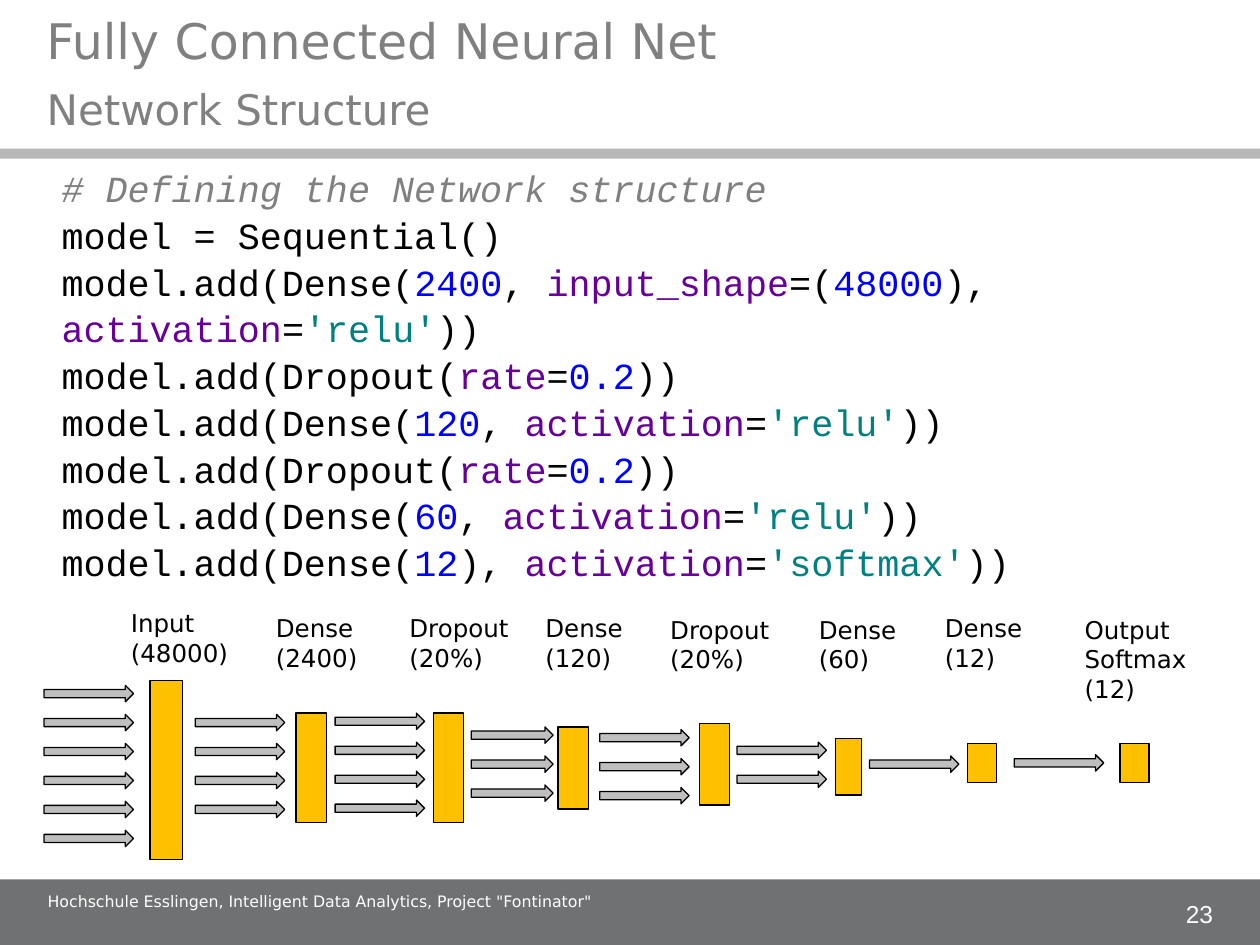
from lxml import etree
from pptx import Presentation
from pptx.dml.color import RGBColor
from pptx.enum.shapes import MSO_SHAPE
from pptx.enum.text import MSO_ANCHOR, MSO_AUTO_SIZE, PP_ALIGN
from pptx.oxml.ns import qn
from pptx.util import Inches, Pt

RECT, ARROW = MSO_SHAPE.RECTANGLE, MSO_SHAPE.RIGHT_ARROW
TOP, MIDDLE, BOTTOM = MSO_ANCHOR.TOP, MSO_ANCHOR.MIDDLE, MSO_ANCHOR.BOTTOM
LEFT, CENTER = PP_ALIGN.LEFT, PP_ALIGN.CENTER
NO_AUTOFIT = MSO_AUTO_SIZE.NONE

COLORS = {
    "band": "707172", "white": "FFFFFF", "heading": "808080", "black": "000000",
    "layer": "FFC000", "arrow": "BFBFBF",
    "comment": "808080", "plain": "000000", "number": "0000FF",
    "keyword": "660099", "string": "008080",
}
HEADING = {"name": "DejaVu Sans", "size": Pt(28)}
SUBHEADING = {"name": "DejaVu Sans", "size": Pt(24)}
FOOTER = {"name": "DejaVu Sans", "size": Pt(9)}
PAGE = {"name": "Arial", "size": Pt(14)}
LABEL = {"name": "DejaVu Sans", "size": Pt(14)}
CODE = {"name": "Courier New", "size": Pt(21)}

prs = Presentation()
prs.slide_width, prs.slide_height = Inches(10), Inches(7.5)
slide = prs.slides.add_slide(prs.slide_layouts[5])


def add_block(kind, box, color, outlined=False):
    block = slide.shapes.add_shape(kind, *map(Inches, box))
    block.shadow.inherit = False
    block.fill.solid()
    block.fill.fore_color.rgb = RGBColor.from_string(COLORS[color])
    if outlined:
        block.line.color.rgb = RGBColor.from_string(COLORS["black"])
        block.line.width = Pt(0.75)
    else:
        block.line.fill.background()
    return block


def write(holder, lines, style, color, anchor=TOP, align=LEFT, wrap=True):
    frame = holder.text_frame
    frame.auto_size, frame.word_wrap = NO_AUTOFIT, wrap
    frame.vertical_anchor = anchor
    for number, line in enumerate(lines):
        paragraph = frame.add_paragraph() if number else frame.paragraphs[0]
        paragraph.alignment = align
        run = paragraph.add_run()
        run.text = line
        for attribute, value in style.items():
            setattr(run.font, attribute, value)
        run.font.color.rgb = RGBColor.from_string(COLORS[color])


add_block(RECT, (0, 6.98, 10, 0.52), "band")
divider = add_block(RECT, (0, 1.18, 10, 0.08), "band")
divider_color = divider.fill._xPr.find(qn("a:solidFill"))[0]
etree.SubElement(divider_color, qn("a:alpha"), val="50000")

subtitle = slide.shapes.title
subtitle.left, subtitle.top = Inches(0.27), Inches(0.59)
subtitle.width, subtitle.height = Inches(7.09), Inches(0.52)
write(subtitle, ["Network Structure"], SUBHEADING, "heading", BOTTOM)

heading = slide.shapes.add_textbox(Inches(0.27), Inches(0.09), Inches(7.09), Inches(0.51))
write(heading, ["Fully Connected Neural Net"], HEADING, "heading", BOTTOM)
footer = slide.shapes.add_textbox(Inches(0.28), Inches(7.03), Inches(8.9), Inches(0.38))
write(footer, ['Hochschule Esslingen, Intelligent Data Analytics, Project "Fontinator"'],
      FOOTER, "white")
page = slide.shapes.add_textbox(Inches(9.33), Inches(7.06), Inches(0.38), Inches(0.36))
write(page, ["23"], PAGE, "white", BOTTOM, CENTER, False)

relu = [("keyword", "activation"), ("plain", "="), ("string", "'relu'"), ("plain", "))")]
dropout = [("plain", "model.add(Dropout("), ("keyword", "rate"), ("plain", "="),
           ("number", "0.2"), ("plain", "))")]
dense = ("plain", "model.add(Dense(")
code_lines = [
    [("comment", "# Defining the Network structure")],
    [("plain", "model = Sequential()")],
    [dense, ("number", "2400"), ("plain", ", "), ("keyword", "input_shape"),
     ("plain", "=("), ("number", "48000"), ("plain", "), ")],
    relu,
    dropout,
    [dense, ("number", "120"), ("plain", ", "), *relu],
    dropout,
    [dense, ("number", "60"), ("plain", ", "), *relu],
    [dense, ("number", "12"), ("plain", "), "), ("keyword", "activation"),
     ("plain", "="), ("string", "'softmax'"), ("plain", "))")],
]
listing = add_block(RECT, (0.39, 1.34, 9.06, 3.25), "white")
listing.text_frame.word_wrap = True
listing.text_frame.vertical_anchor = MIDDLE
code = listing.text_frame.paragraphs[0]
code.alignment, code.line_spacing = LEFT, 1.06
for number, tokens in enumerate(code_lines):
    if number:
        code.add_line_break()
    for role, text in tokens:
        run = code.add_run()
        run.text = text
        for attribute, value in CODE.items():
            setattr(run.font, attribute, value)
        run.font.italic = role == "comment"
        run.font.color.rgb = RGBColor.from_string(COLORS[role])

layers = [
    (["Input", "(48000)"], (0.94, 4.78, 1.04, 0.57), (1.19, 5.4, 0.26, 1.42)),
    (["Dense", "(2400)"], (2.09, 4.82, 0.98, 0.57), (2.35, 5.66, 0.24, 0.87)),
    (["Dropout", "(20%)"], (3.15, 4.82, 1.02, 0.57), (3.44, 5.66, 0.24, 0.87)),
    (["Dense", "(120)"], (4.23, 4.82, 0.84, 0.57), (4.43, 5.77, 0.24, 0.65)),
    (["Dropout", "(20%)"], (5.22, 4.83, 1.08, 0.57), (5.55, 5.74, 0.24, 0.65)),
    (["Dense", "(60)"], (6.4, 4.83, 0.88, 0.57), (6.63, 5.86, 0.21, 0.45)),
    (["Dense", "(12)"], (7.4, 4.82, 0.88, 0.57), (7.68, 5.9, 0.23, 0.31)),
    (["Output", "Softmax", "(12)"], (8.51, 4.83, 1.03, 0.8), (8.89, 5.9, 0.23, 0.31)),
]
for caption, caption_box, layer_box in layers:
    add_block(RECT, layer_box, "layer", True)
    label = slide.shapes.add_textbox(*map(Inches, caption_box))
    write(label, caption, LABEL, "black")

ARROW_PITCH = 0.23
arrow_groups = [
    (0.35, 5.44, 0.71, 6), (1.55, 5.67, 0.71, 4), (2.66, 5.66, 0.71, 4),
    (3.74, 5.77, 0.65, 3), (4.76, 5.79, 0.71, 3), (5.85, 5.89, 0.71, 2),
    (6.9, 6, 0.71, 1), (8.05, 5.99, 0.71, 1),
]
for left, top, width, count in arrow_groups:
    for row in range(count):
        add_block(ARROW, (left, top + row * ARROW_PITCH, width, 0.13), "arrow", True)

prs.save("out.pptx")
